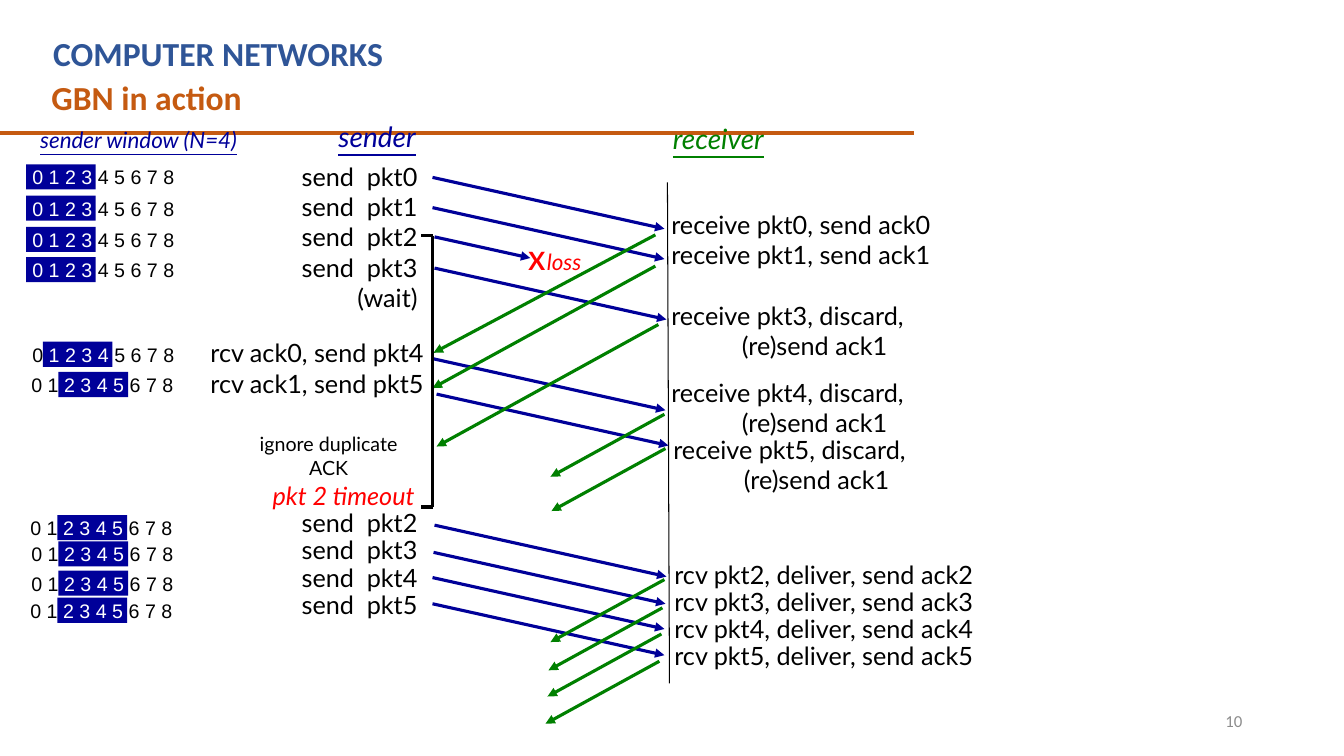
"""Build the slide that traces Go-Back-N between a sender and a receiver."""
import pptx
import pptx.util
import pptx.dml.color
import pptx.enum.shapes
import pptx.enum.text
import pptx.oxml.ns
from lxml import etree

Inches = pptx.util.Inches
Pt = pptx.util.Pt
RGBColor = pptx.dml.color.RGBColor
ALIGN = pptx.enum.text.PP_ALIGN
ANCHOR = pptx.enum.text.MSO_ANCHOR

ORANGE = RGBColor(0xC5, 0x5A, 0x11)
HEADING_BLUE = RGBColor(0x2F, 0x55, 0x97)
NAVY = RGBColor(0x00, 0x00, 0x99)
GREEN = RGBColor(0x00, 0x80, 0x00)
RED = RGBColor(0xFF, 0x00, 0x00)
BLACK = RGBColor(0x00, 0x00, 0x00)
WHITE = RGBColor(0xFF, 0xFF, 0xFF)
GREY = RGBColor(0x8C, 0x8C, 0x8C)

PACKET_RUN = (2.3, 0.51)
ACK_RUN = (-1.13, 0.62)
PACKET_STARTS = [(4.29, 1.76), (4.29, 2.06), (4.31, 2.66), (4.3, 3.56), (4.33, 3.91),
                 (4.31, 5.21), (4.3, 5.48), (4.29, 5.73), (4.29, 5.99)]
ACK_STARTS = [(6.59, 4.11), (6.6, 4.45), (6.59, 5.75), (6.57, 6.03), (6.56, 6.29),
              (6.54, 6.56)]
LONG_ACKS = [((6.5, 2.33), (4.3, 3.5)), ((6.5, 2.64), (4.29, 3.85)),
             ((6.53, 3.22), (4.33, 4.43))]
WINDOWS = [(0.2, 1.59, 0), (0.2, 1.9, 0), (0.2, 2.21, 0), (0.2, 2.51, 0),
           (0.2, 3.35, 1), (0.19, 3.65, 2), (0.18, 5.07, 2), (0.19, 5.33, 2),
           (0.19, 5.62, 2), (0.18, 5.89, 2)]
DISCARDS = [(3, 6.56, 2.93), (4, 6.56, 3.69), (5, 6.58, 4.26)]


def format_runs(para, size, color, font="Lato", bold=False, italic=False, underline=False):
    for span in para.runs:
        span.font.name = font
        span.font.size = Pt(size)
        span.font.color.rgb = color
        span.font.bold = bold
        span.font.italic = italic
        span.font.underline = underline


def add_text(slide, place, lines, size=18, color=BLACK, align=ALIGN.LEFT, spacing=1.0, **style):
    box = slide.shapes.add_textbox(*(Inches(value) for value in place))
    frame = box.text_frame
    frame.word_wrap = True
    frame.text = "\n".join(lines)
    for para in frame.paragraphs:
        para.alignment = align
        para.line_spacing = spacing
        format_runs(para, size, color, **style)
    return box


def add_line(slide, start, end, color, width=2.25, arrow=False):
    line = slide.shapes.add_connector(
        pptx.enum.shapes.MSO_CONNECTOR.STRAIGHT,
        *(Inches(value) for value in (*start, *end)))
    line.line.color.rgb = color
    line.line.width = Pt(width)
    if arrow:
        outline = line.line._get_or_add_ln()
        etree.SubElement(outline, pptx.oxml.ns.qn("a:tailEnd"), type="triangle")
    etree.SubElement(line._element.spPr, pptx.oxml.ns.qn("a:effectLst"))


def add_arrows(slide, starts, run, color):
    for left, top in starts:
        add_line(slide, (left, top), (left + run[0], top + run[1]), color, arrow=True)


def add_window(slide, left, top, first):
    highlight = slide.shapes.add_shape(
        pptx.enum.shapes.MSO_SHAPE.RECTANGLE,
        Inches(left + 0.06 + 0.165 * first), Inches(top + 0.04), Inches(0.69), Inches(0.25))
    highlight.shadow.inherit = False
    highlight.fill.solid()
    highlight.fill.fore_color.rgb = NAVY
    highlight.line.fill.background()

    box = add_text(slide, (left, top, 1.65, 0.33), [""], align=ALIGN.CENTER)
    para = box.text_frame.paragraphs[0]
    for number in range(9):
        span = para.add_run()
        span.text = f"{number} " if number < 8 else "8"
    format_runs(para, 14, BLACK, font="Arial")
    for span in para.runs[first:first + 4]:
        span.font.color.rgb = WHITE


def add_discard(slide, packet, left, top):
    box = add_text(slide, (left, top, 2.64, 0.7),
                   [f"receive pkt{packet}, discard,", "(re)send ack1"])
    box.text_frame.paragraphs[1]._p.get_or_add_pPr().set("marL", str(Inches(0.7)))


def add_headings(slide):
    title = slide.shapes.title
    title.left, title.top = Inches(0.41), Inches(0.71)
    title.width, title.height = Inches(8.75), Inches(0.5)
    title.text_frame.text = "GBN in action"
    title.text_frame.word_wrap = True
    title.text_frame.vertical_anchor = ANCHOR.TOP
    title.text_frame.paragraphs[0].alignment = ALIGN.LEFT
    format_runs(title.text_frame.paragraphs[0], 24, ORANGE, font="Calibri", bold=True)
    add_text(slide, (0.43, 0.28, 8.2, 0.5), ["COMPUTER NETWORKS"], 24, HEADING_BLUE,
             font="Calibri", bold=True)
    add_line(slide, (0, 1.32), (9.07, 1.32), ORANGE, 3)
    for text, place, size, color in [
            ("sender window (N=4)", (0.2, 1.2, 2.35, 0.37), 16, NAVY),
            ("sender", (3.23, 1.14, 1.02, 0.43), 20, NAVY),
            ("receiver", (6.54, 1.16, 1.17, 0.43), 20, GREEN)]:
        add_text(slide, place, [text], size, color, ALIGN.CENTER, italic=True, underline=True)


def add_sender(slide):
    first_sends = [f"send  pkt{number}" for number in range(4)]
    add_text(slide, (2.88, 1.55, 1.36, 1.6), first_sends + ["(wait)"], align=ALIGN.RIGHT)
    add_text(slide, (1.94, 3.3, 2.36, 0.7), ["rcv ack0, send pkt4", "rcv ack1, send pkt5"],
             align=ALIGN.RIGHT)
    add_text(slide, (2.27, 4.24, 1.98, 0.55), ["ignore duplicate ACK"], 14, align=ALIGN.CENTER)
    add_text(slide, (2.53, 4.79, 1.68, 0.33), ["pkt 2 timeout"], color=RED,
             align=ALIGN.RIGHT, spacing=0.75, italic=True)
    add_text(slide, (2.88, 5.02, 1.36, 1.18), [f"send  pkt{number}" for number in range(2, 6)],
             align=ALIGN.RIGHT, spacing=0.9)
    for window in WINDOWS:
        add_window(slide, *window)


def add_receiver(slide):
    add_line(slide, (6.62, 1.81), (6.64, 6.78), BLACK, 0.75)
    add_text(slide, (6.56, 2.03, 2.81, 0.7),
             [f"receive pkt{number}, send ack{number}" for number in range(2)])
    for discard in DISCARDS:
        add_discard(slide, *discard)
    add_text(slide, (6.59, 5.53, 3.24, 1.18),
             [f"rcv pkt{number}, deliver, send ack{number}" for number in range(2, 6)],
             spacing=0.9)


def add_messages(slide):
    add_arrows(slide, PACKET_STARTS, PACKET_RUN, NAVY)
    add_line(slide, (4.31, 2.35), (5.26, 2.56), NAVY, arrow=True)
    add_text(slide, (5.14, 2.38, 0.37, 0.4), ["X"], color=RED, align=ALIGN.CENTER, bold=True)
    add_text(slide, (5.31, 2.41, 0.57, 0.37), ["loss"], 16, RED, ALIGN.CENTER, italic=True)
    for start, end in LONG_ACKS:
        add_line(slide, start, end, GREEN, arrow=True)
    add_arrows(slide, ACK_STARTS, ACK_RUN, GREEN)
    add_line(slide, (4.29, 2.34), (4.29, 5.03), BLACK)
    for top in (2.34, 5.03):
        add_line(slide, (4.29, top), (4.18, top), BLACK)


def main():
    deck = pptx.Presentation()
    deck.slide_width, deck.slide_height = Inches(13.33), Inches(7.5)
    slide = deck.slides.add_slide(deck.slide_layouts.get_by_name("Title Only"))
    add_headings(slide)
    add_sender(slide)
    add_receiver(slide)
    add_messages(slide)
    page_number = add_text(slide, (9.42, 6.95, 3, 0.4), ["10"], 12, GREY, ALIGN.RIGHT,
                           font="Calibri")
    page_number.text_frame.vertical_anchor = ANCHOR.MIDDLE
    deck.save("out.pptx")


if __name__ == "__main__":
    main()
